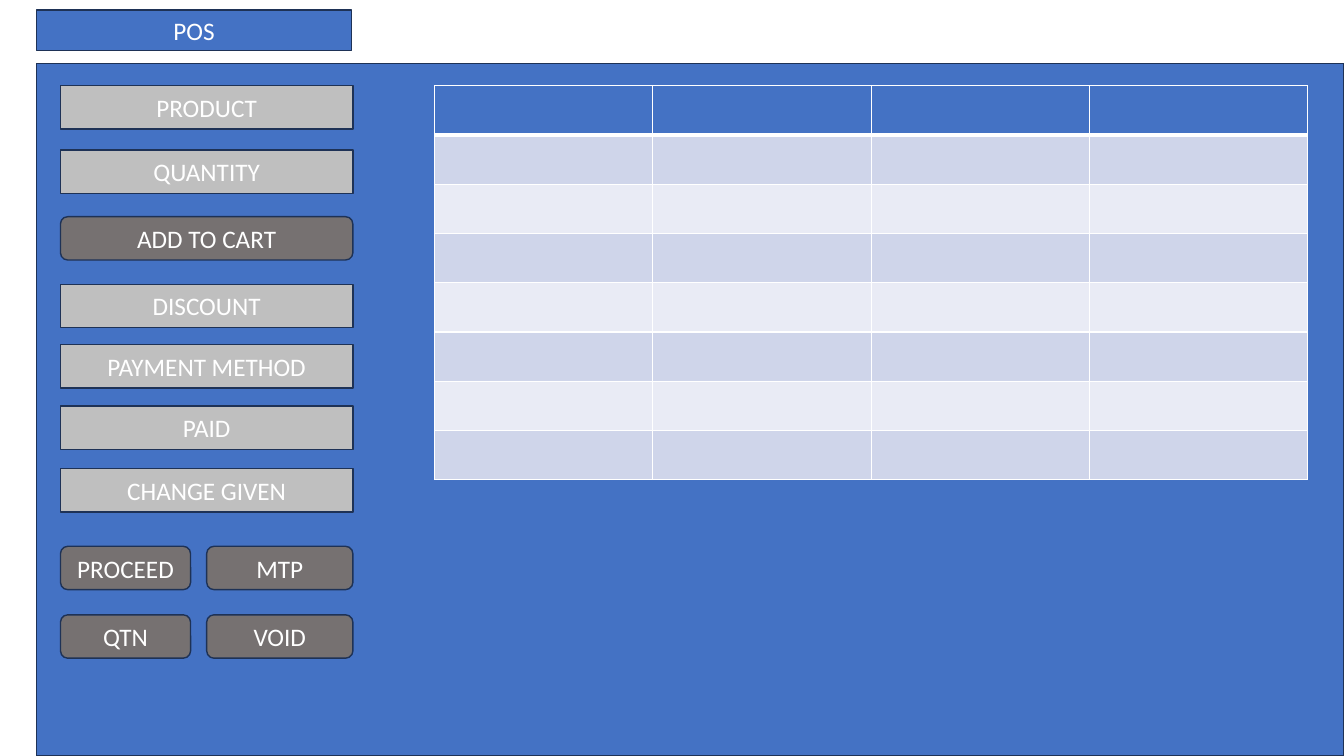
from lxml.etree import SubElement
from pptx import Presentation
from pptx.dml.color import RGBColor
from pptx.enum.shapes import MSO_SHAPE
from pptx.enum.text import MSO_ANCHOR, PP_ALIGN
from pptx.oxml.ns import qn
from pptx.util import Pt

PX = 9144  # 100 px to the inch
BLUE, NAVY, WHITE = "4472C4", "1E3256", "FFFFFF"
FIELD_GREY, BUTTON_GREY = "BFBFBF", "767171"
BANDS = ("E9EBF5", "CFD5EA")
CONTROL_HEIGHT = 43

# label, distance from the top of the form, is it a button
CONTROLS = [
    ("PRODUCT", 0, False),
    ("QUANTITY", 64, False),
    ("ADD TO CART", 130, True),
    ("DISCOUNT", 197, False),
    ("PAYMENT METHOD", 257, False),
    ("PAID", 318, False),
    ("CHANGE GIVEN", 380, False),
]
ACTIONS = [("PROCEED", "MTP"), ("QTN", "VOID")]


def emu(*lengths):
    return [length * PX for length in lengths]


def color(hex_string):
    return RGBColor.from_string(hex_string)


def add_block(page, box, fill, label="", kind=MSO_SHAPE.RECTANGLE):
    """Outlined shape with an optional centred label."""
    block = page.shapes.add_shape(kind, *emu(*box))
    block.shadow.inherit = False
    block.fill.solid()
    block.fill.fore_color.rgb = color(fill)
    block.line.color.rgb = color(NAVY)
    block.line.width = Pt(1)
    if label:
        frame = block.text_frame
        frame.word_wrap = True
        frame.vertical_anchor = MSO_ANCHOR.MIDDLE
        para = frame.paragraphs[0]
        para.text = label
        para.alignment = PP_ALIGN.CENTER
        para.font.name = "Calibri"
        para.font.size = Pt(18)
        para.font.color.rgb = color(WHITE)


def add_button(page, box, label):
    add_block(page, box, BUTTON_GREY, label, MSO_SHAPE.ROUNDED_RECTANGLE)


def add_form(page, box):
    left, top, width, _ = box
    for label, offset, is_button in CONTROLS:
        control = (left, top + offset, width, CONTROL_HEIGHT)
        if is_button:
            add_button(page, control, label)
        else:
            add_block(page, control, FIELD_GREY, label)


def add_actions(page, box):
    """Two columns of buttons, the right one slightly wider."""
    left, top, width, height = box
    columns = [(left, 129), (left + 145, width - 145)]
    step = height - CONTROL_HEIGHT
    for row, labels in enumerate(ACTIONS):
        for (x, button_width), label in zip(columns, labels):
            add_button(page, (x, top + row * step, button_width, CONTROL_HEIGHT), label)


def set_border(cell, side, points):
    line = SubElement(cell._tc.get_or_add_tcPr(), qn(f"a:ln{side}"), w=str(Pt(points)))
    fill = SubElement(line, qn("a:solidFill"))
    SubElement(fill, qn("a:srgbClr"), val=WHITE)


def add_cart(page, box, row_count=8, column_count=4):
    cart = page.shapes.add_table(row_count, column_count, *emu(*box)).table
    for row in range(row_count):
        for column in range(column_count):
            cell = cart.cell(row, column)
            for side in "LRTB":
                at_header_edge = (row, side) in ((0, "B"), (1, "T"))
                set_border(cell, side, 3 if at_header_edge else 1)
            cell.fill.solid()
            cell.fill.fore_color.rgb = color(BANDS[row % 2] if row else BLUE)


def add_pos_screen(page, box):
    left, top, _, _ = box
    add_block(page, box, BLUE)
    add_block(page, (left, top - 53, 313, 40), BLUE, "POS")
    add_form(page, (left + 24, top + 22, 290, 423))
    add_actions(page, (left + 24, top + 479, 290, 111))
    add_cart(page, (left + 395, top + 22, 866, 391))


def main():
    deck = Presentation()
    deck.slide_width, deck.slide_height = emu(1333, 750)
    page = deck.slides.add_slide(deck.slide_layouts[6])
    add_pos_screen(page, (36, 63, 1297, 687))
    deck.save("out.pptx")


if __name__ == "__main__":
    main()
